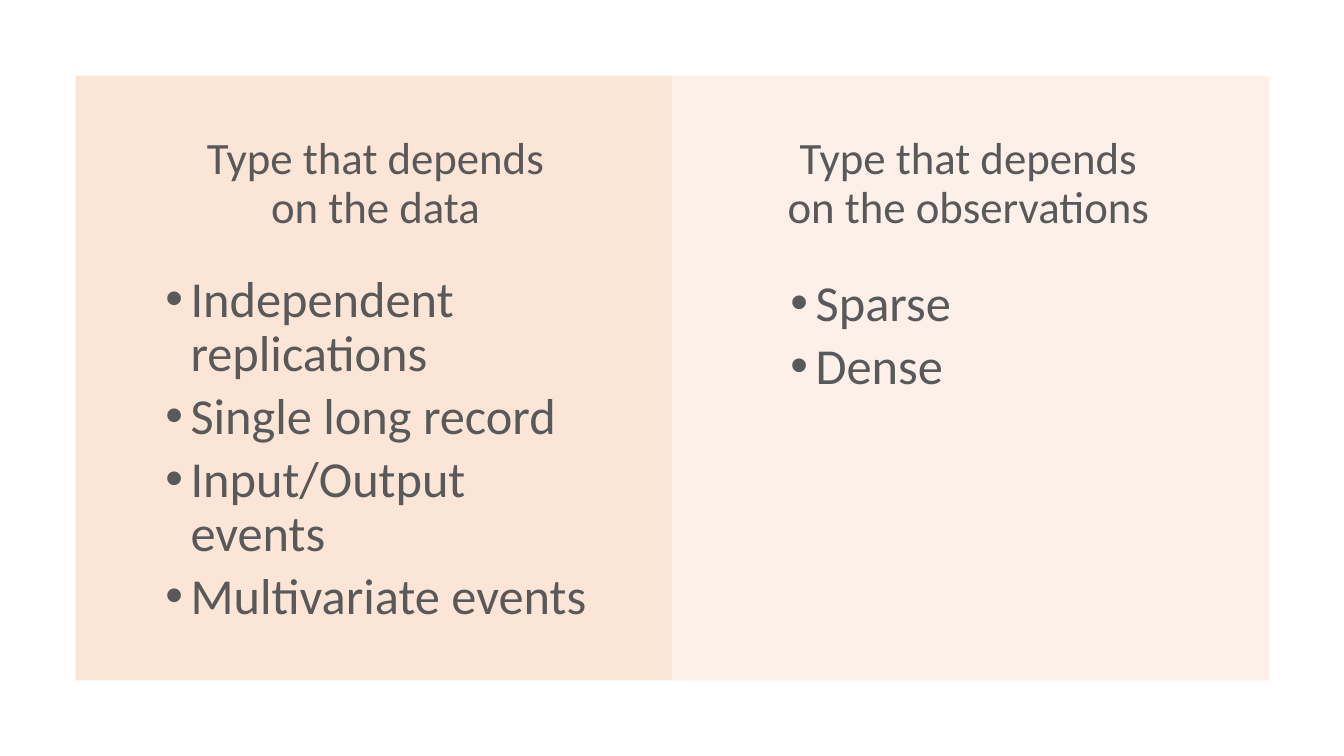
"""Build a slide that compares two ways of classifying event data."""
from dataclasses import dataclass

from lxml.etree import SubElement
from pptx import Presentation
from pptx.dml.color import RGBColor
from pptx.enum.shapes import MSO_SHAPE
from pptx.enum.text import MSO_ANCHOR, MSO_AUTO_SIZE, PP_ALIGN
from pptx.oxml.ns import qn
from pptx.util import Inches, Pt


@dataclass(frozen=True)
class Theme:
    """Colours and type sizes of the slide."""
    font: str = "Calibri"
    ink: RGBColor = RGBColor(0x59, 0x59, 0x59)
    peach: RGBColor = RGBColor(0xFB, 0xE5, 0xD6)
    heading_size: int = 32
    list_size: int = 36


class ComparisonSlide:
    """Draws panels, headings and lists on one slide."""

    def __init__(self, slide, theme):
        self.slide = slide
        self.theme = theme

    def place(self, shape, left, top, width, height):
        """Move and size a shape, in inches."""
        shape.left, shape.top = Inches(left), Inches(top)
        shape.width, shape.height = Inches(width), Inches(height)

    def panel(self, order, left, top, width, height, opacity=100):
        """Add a coloured panel behind the text."""
        panel = self.slide.shapes.add_shape(
            MSO_SHAPE.RECTANGLE, Inches(left), Inches(top), Inches(width), Inches(height))
        panel.shadow.inherit = False
        panel.line.fill.background()
        panel.fill.solid()
        panel.fill.fore_color.rgb = self.theme.peach
        if opacity < 100:
            colour = panel.fill._xPr.find(qn("a:solidFill"))[0]
            SubElement(colour, qn("a:alpha"), val=str(opacity * 1000))
        self.slide.shapes._spTree.insert(2 + order, panel._element)

    def set_text(self, shape, lines, size):
        """Fill a shape with paragraphs in the theme's type."""
        frame = shape.text_frame
        frame.text = "\n".join(lines)
        frame.word_wrap = True
        frame.auto_size = MSO_AUTO_SIZE.NONE
        frame.vertical_anchor = MSO_ANCHOR.MIDDLE
        for paragraph in frame.paragraphs:
            paragraph.line_spacing = 0.9
            paragraph.space_before = Pt(0)
            for run in paragraph.runs:
                run.font.name = self.theme.font
                run.font.size = Pt(size)
                run.font.color.rgb = self.theme.ink
        return frame.paragraphs

    def heading(self, shape, text, left):
        """Set a centred heading at the top of a panel."""
        self.place(shape, left, 1.05, 3.85, 1.56)
        for paragraph in self.set_text(shape, [text], self.theme.heading_size):
            paragraph.alignment = PP_ALIGN.CENTER

    def bullets(self, shape, items, left, top, height):
        """Set a bulleted list."""
        self.place(shape, left, top, 4.49, height)
        for paragraph in self.set_text(shape, items, self.theme.list_size):
            paragraph.space_after = Pt(6)
            properties = paragraph._p.get_or_add_pPr()
            properties.set("marL", str(Inches(0.31)))
            properties.set("indent", str(Inches(-0.25)))
            SubElement(properties, qn("a:buFont"), typeface="Arial")
            SubElement(properties, qn("a:buChar"), char="•")


def main():
    """Build and save the presentation."""
    deck = Presentation()
    deck.slide_width, deck.slide_height = Inches(13.33), Inches(7.5)
    slide = deck.slides.add_slide(deck.slide_layouts.get_by_name("Two Content"))
    comparison = ComparisonSlide(slide, Theme())

    margin, panel_width = 0.75, 5.92
    comparison.panel(0, margin, margin, panel_width, 6)
    comparison.panel(1, margin + panel_width, margin, panel_width, 6, opacity=55)

    data_title, data_types, observation_types = slide.placeholders
    observation_title = slide.shapes.add_textbox(0, 0, 0, 0)
    comparison.heading(data_title, "Type that depends on the data", 1.8)
    comparison.heading(observation_title, "Type that depends on the observations", 7.68)
    comparison.bullets(
        data_types,
        ["Independent replications", "Single long record",
         "Input/Output events", "Multivariate events"],
        1.48, 2.17, 4.58)
    comparison.bullets(observation_types, ["Sparse", "Dense"], 7.68, 2.61, 1.46)
    deck.save("out.pptx")


if __name__ == "__main__":
    main()
